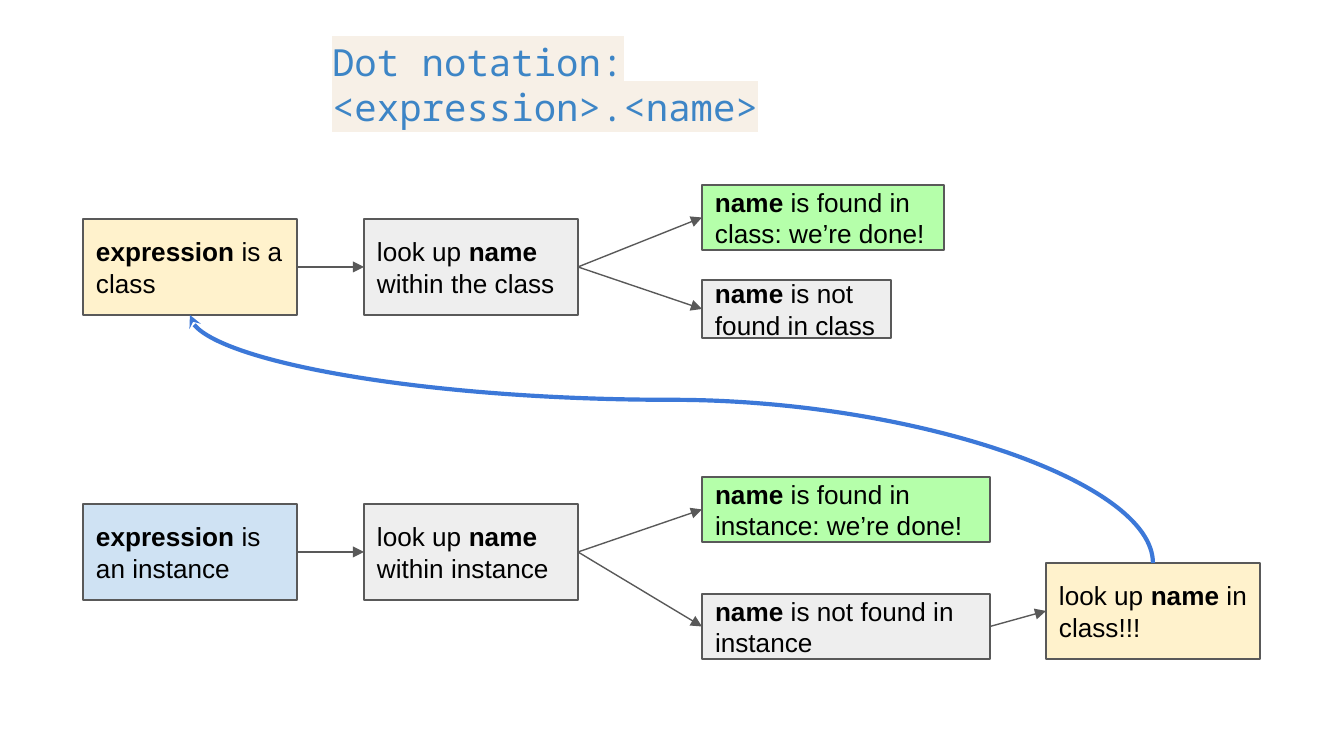
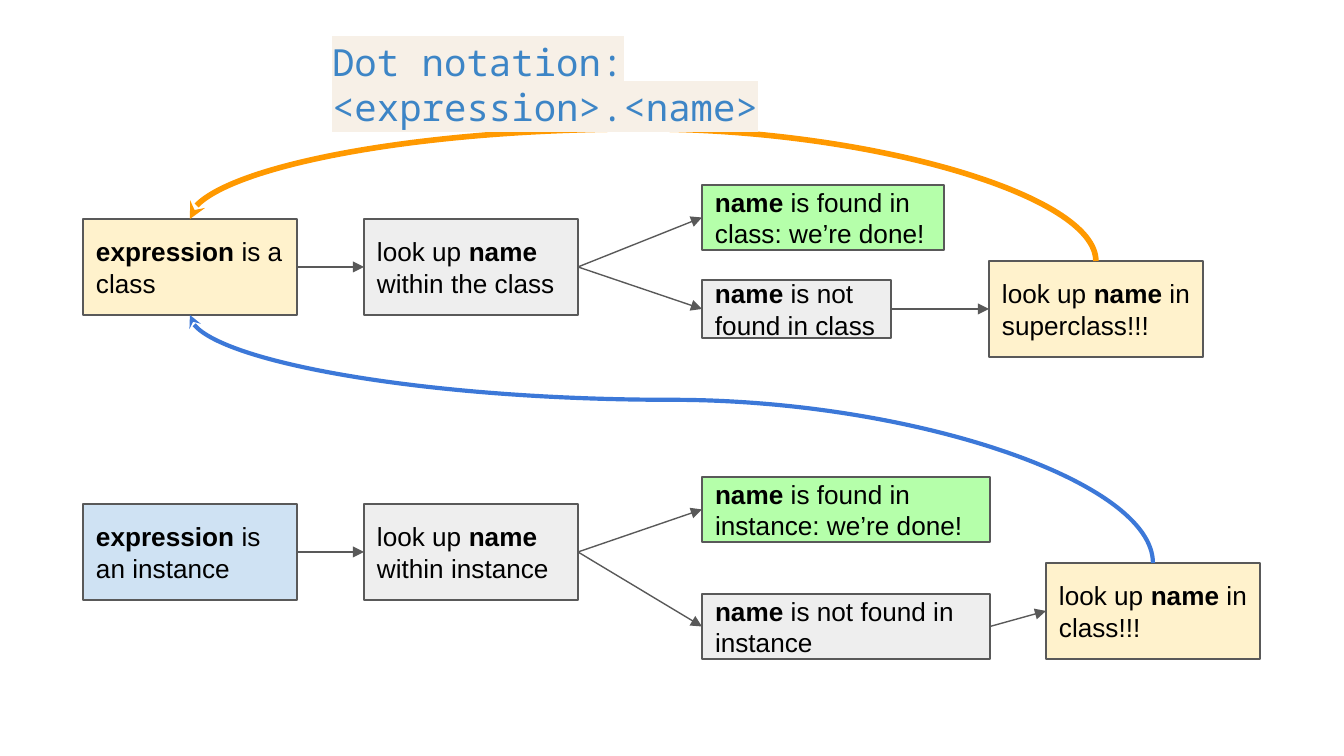
from dataclasses import dataclass
from lxml import etree
from pptx import Presentation
from pptx.dml.color import RGBColor
from pptx.enum import shapes, text
from pptx.oxml import ns
from pptx.util import Emu, Pt


@dataclass(frozen=True)
class Theme:
    cream: str = "FFF2CC"
    grey: str = "EEEEEE"
    green: str = "B5FFAA"
    sky: str = "CFE2F3"
    edge: str = "595959"
    ink: str = "000000"
    blue: str = "3C78D8"
    orange: str = "FF9900"
    title: str = "3D85C6"
    mark: str = "F7F0E7"
    sans: str = "Arial"
    mono: str = "Noto Sans Mono"
    head: int = 20
    body: int = 14
    thin: float = 0.75


T = Theme()
SCALE = 914400 / 134.4
PAGE = 1344, 756
PAD = 13
BIG = 214, 96
COLS = 83, 364, 702
ROWS = 219, 504
TOP, LEFT, BOTTOM, RIGHT = range(4)

TITLE = "Dot notation: <expression>.<name>", (319, 26, 707, 77)
BOXES = {
    "class": ("*expression* is a class", T.cream, (COLS[0], ROWS[0], *BIG)),
    "seek class": ("look up *name* within the class", T.grey, (COLS[1], ROWS[0], *BIG)),
    "class hit": ("*name *is found in class: we’re done!", T.green, (COLS[2], 185, 242, 65)),
    "class miss": ("*name *is not found in class", T.grey, (COLS[2], 280, 189, 58)),
    "object": ("*expression* is an instance", T.sky, (COLS[0], ROWS[1], *BIG)),
    "seek object": ("look up *name* within instance", T.grey, (COLS[1], ROWS[1], *BIG)),
    "object hit": ("*name *is found in instance: we’re done!", T.green, (COLS[2], 477, 288, 65)),
    "object miss": ("*name *is not found in instance", T.grey, (COLS[2], 594, 288, 65)),
    "go class": ("look up *name *in class!!!", T.cream, (1046, 563, *BIG)),
}
LINKS = [
    ("class", "seek class"),
    ("seek class", "class hit"),
    ("seek class", "class miss"),
    ("object", "seek object"),
    ("seek object", "object hit"),
    ("seek object", "object miss"),
    ("object miss", "go class"),
]
CURVES = [("go class", "class", BOTTOM, T.blue, 2.25, 65800)]

SUPER = {"go super": ("look up *name *in superclass!!!", T.cream, (989, 261, *BIG))}
SLIDES = [
    (BOXES, LINKS, CURVES),
    (
        BOXES | SUPER,
        LINKS + [("class miss", "go super")],
        CURVES + [("go super", "class", TOP, T.orange, 3, 314600)],
    ),
]


def px(*vals):
    return [Emu(round(v * SCALE)) for v in vals]


def rgb(code):
    return RGBColor.from_string(code)


def sub(node, tag, **attrs):
    return etree.SubElement(node, ns.qn(tag), **attrs)


def setup(frame, anchor):
    frame.word_wrap = True
    frame.vertical_anchor = anchor
    pad = px(PAD)[0]
    frame.margin_left = frame.margin_right = pad
    frame.margin_top = frame.margin_bottom = pad


def style(run, name, size, color):
    run.font.name = name
    run.font.size = Pt(size)
    run.font.color.rgb = rgb(color)


def box(slide, words, fill, place):
    shape = slide.shapes.add_shape(shapes.MSO_SHAPE.FLOWCHART_PROCESS, *px(*place))
    shape.shadow.inherit = False
    shape.fill.solid()
    shape.fill.fore_color.rgb = rgb(fill)
    shape.line.color.rgb = rgb(T.edge)
    shape.line.width = Pt(T.thin)
    setup(shape.text_frame, text.MSO_ANCHOR.MIDDLE)
    para = shape.text_frame.paragraphs[0]
    para.alignment = text.PP_ALIGN.LEFT
    for i, part in enumerate(words.split("*")):
        if part:
            run = para.add_run()
            run.text = part
            style(run, T.sans, T.body, T.ink)
            run.font.bold = i % 2 == 1
    return shape


def join(slide, kind, ends, sites, color, width, tip):
    link = slide.shapes.add_connector(kind, 0, 0, 0, 0)
    link.begin_connect(ends[0], sites[0])
    link.end_connect(ends[1], sites[1])
    link.line.color.rgb = rgb(color)
    link.line.width = Pt(width)
    sub(link.line._get_or_add_ln(), "a:tailEnd", type=tip)
    sub(link._element.spPr, "a:effectLst")
    return link


def bend(link, ratio):
    x, y, w, h = link.left, link.top, link.width, link.height
    link.left, link.top = x + (w - h) // 2, y + (h - w) // 2
    link.width, link.height = h, w
    props = link._element.spPr
    frame = props.find(ns.qn("a:xfrm"))
    frame.attrib.pop("flipV", None)
    frame.set("rot", "5400000")
    frame.set("flipH", "1")
    guides = props.find(ns.qn("a:prstGeom")).find(ns.qn("a:avLst"))
    sub(guides, "a:gd", name="adj1", fmla=f"val {ratio}")


def head(slide):
    words, place = TITLE
    frame = slide.shapes.add_textbox(*px(*place)).text_frame
    setup(frame, text.MSO_ANCHOR.TOP)
    frame.text = words
    run = frame.paragraphs[0].runs[0]
    style(run, T.mono, T.head, T.title)
    mark = etree.Element(ns.qn("a:highlight"))
    sub(mark, "a:srgbClr", val=T.mark)
    run._r.rPr.find(ns.qn("a:solidFill")).addnext(mark)


def draw(slide, boxes, links, curves):
    kinds = shapes.MSO_CONNECTOR
    made = {key: box(slide, *item) for key, item in boxes.items()}
    for a, b in links:
        join(slide, kinds.STRAIGHT, (made[a], made[b]), (RIGHT, LEFT),
             T.edge, T.thin, "triangle")
    for a, b, site, color, width, ratio in curves:
        link = join(slide, kinds.CURVE, (made[a], made[b]), (TOP, site),
                    color, width, "stealth")
        bend(link, ratio)
    head(slide)


def main():
    deck = Presentation()
    deck.slide_width, deck.slide_height = px(*PAGE)
    for item in SLIDES:
        draw(deck.slides.add_slide(deck.slide_layouts[6]), *item)
    deck.save("out.pptx")


if __name__ == "__main__":
    main()
